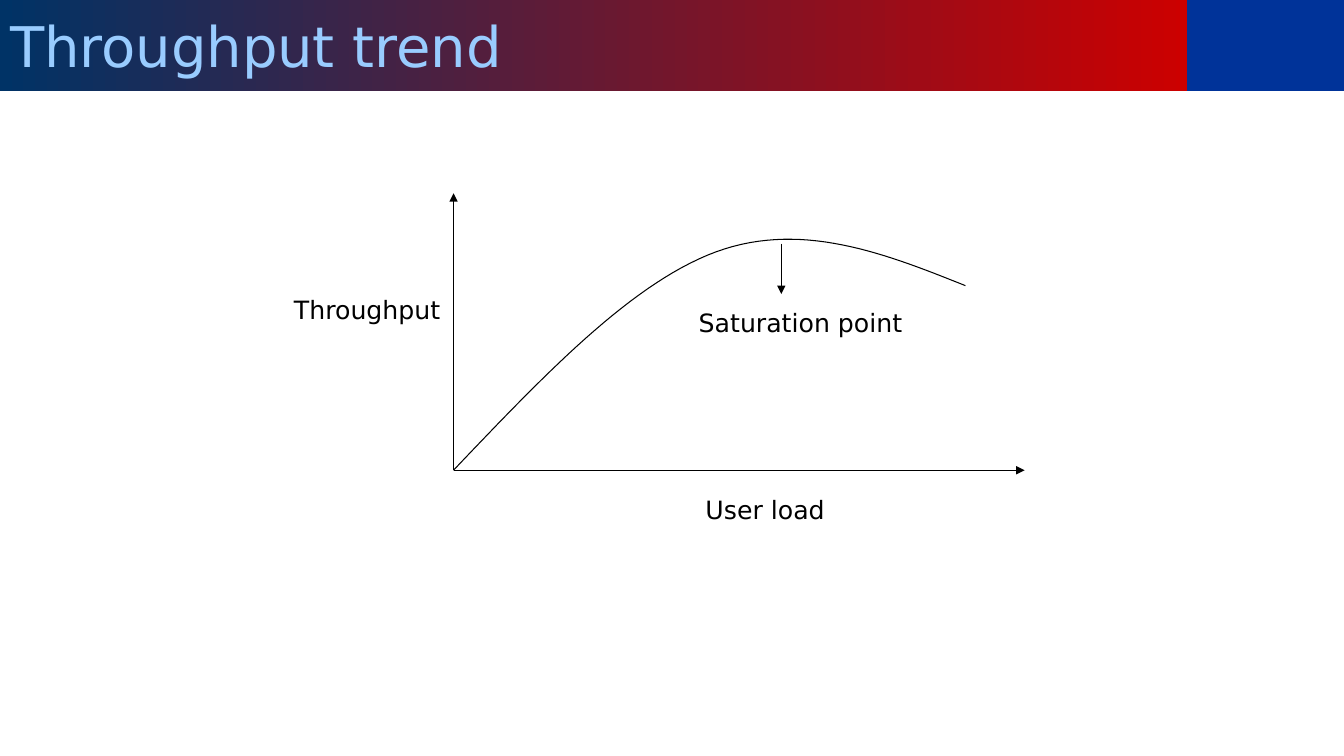
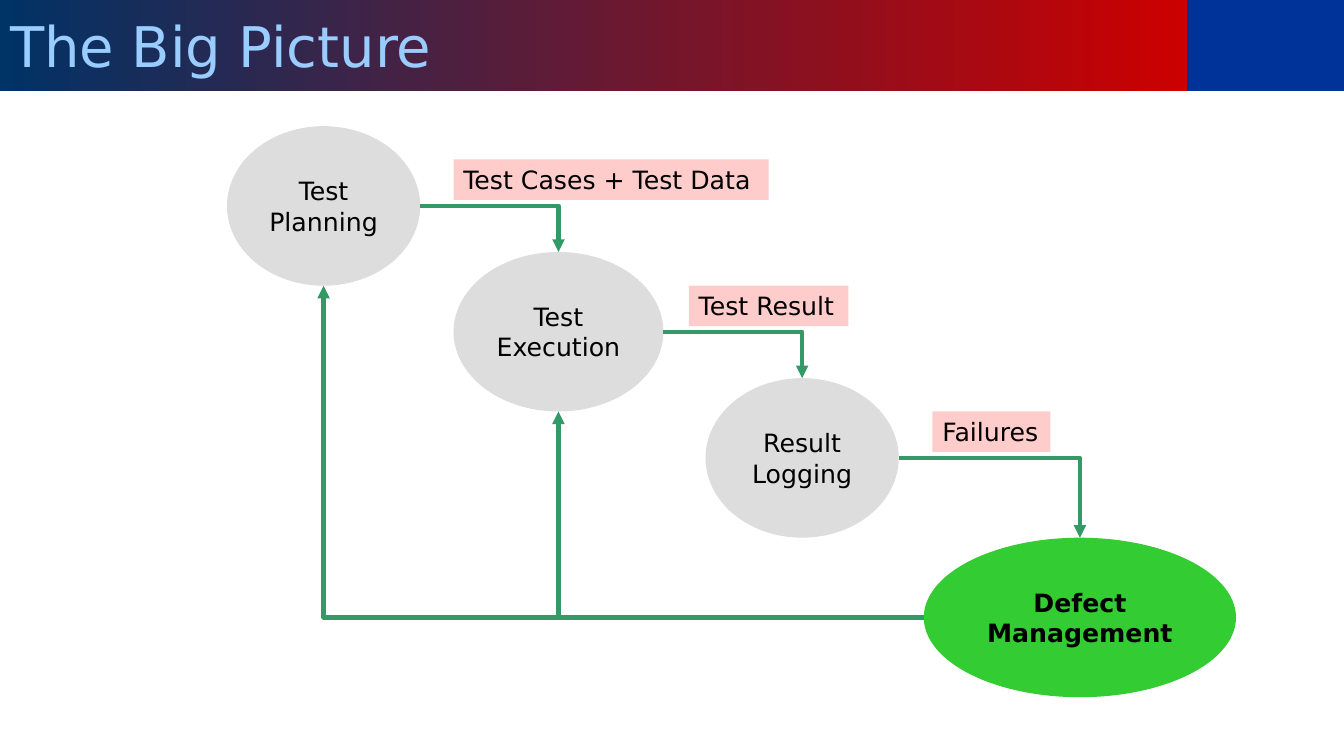
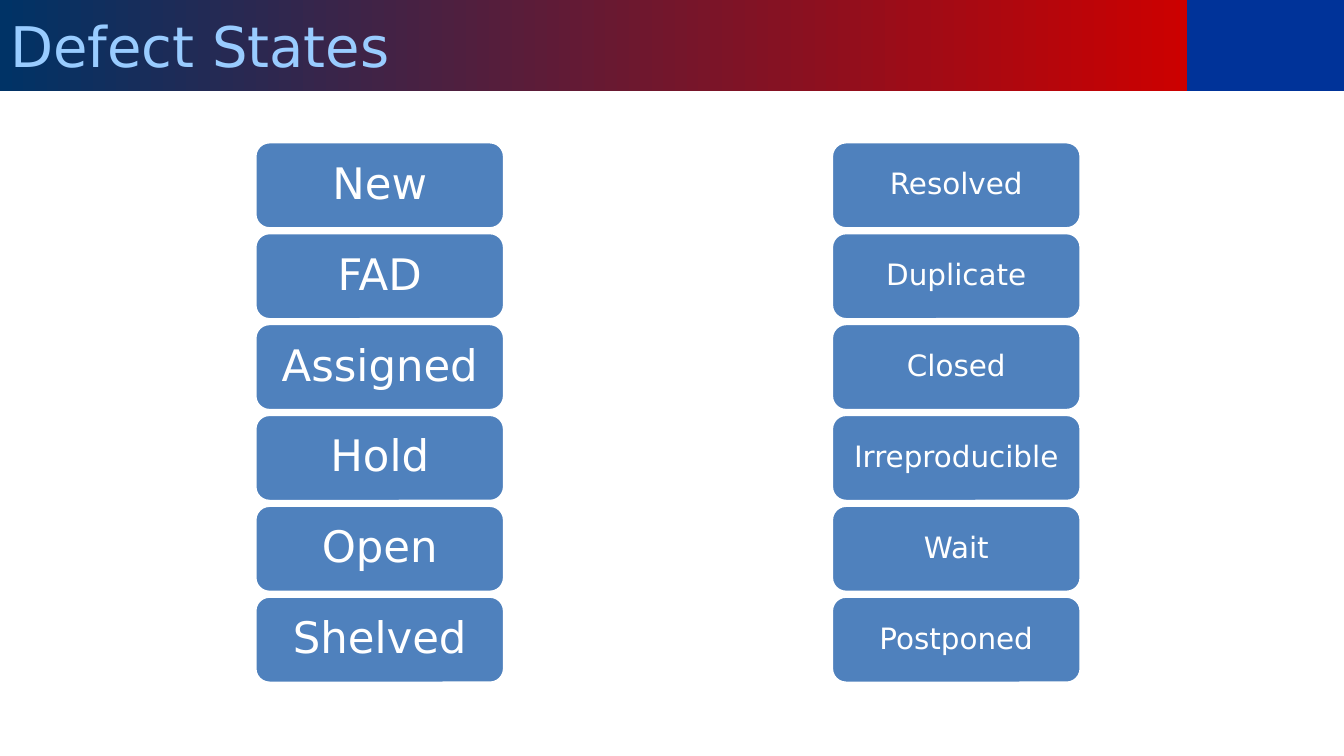
from dataclasses import dataclass

from lxml.etree import SubElement as Sub
from pptx import Presentation
from pptx.dml.color import RGBColor as Rgb
from pptx.enum.shapes import MSO_CONNECTOR as Conn, MSO_SHAPE as Kind
from pptx.enum.text import MSO_ANCHOR as Anchor, PP_ALIGN as Align
from pptx.oxml.ns import qn
from pptx.util import Cm, Pt


@dataclass(frozen=True)
class Theme:
    font: str = "DejaVu Sans"
    ink: str = "000000"
    white: str = "FFFFFF"
    sky: str = "99CCFF"
    navy: str = "003366"
    red: str = "CC0000"
    blue: str = "003399"
    gray: str = "DDDDDD"
    green: str = "33CC33"
    teal: str = "339966"
    pink: str = "FFCCCC"
    steel: str = "4F81BD"
    head: int = 40
    body: int = 18
    large: int = 31
    small: int = 21


theme = Theme()


def box(slide, kind, place, text, fill=None, size=theme.body, color=theme.ink,
        bold=False, align=Align.CENTER, **form):
    place = [Cm(n) for n in place]
    if kind is None:
        shape = slide.shapes.add_textbox(*place)
    else:
        shape = slide.shapes.add_shape(kind, *place)
        shape.shadow.inherit = False
        shape.line.fill.background()
    if fill:
        shape.fill.solid()
        shape.fill.fore_color.rgb = Rgb.from_string(fill)
    frame = shape.text_frame
    for key, value in {"word_wrap": True, **form}.items():
        setattr(frame, key, value)
    frame.text = text
    para = frame.paragraphs[0]
    para.alignment = align
    for key, value in {"name": theme.font, "size": Pt(size), "bold": bold}.items():
        setattr(para.font, key, value)
    para.font.color.rgb = Rgb.from_string(color)
    return shape


def arrow(slide, kind, start, end, color, width):
    line = slide.shapes.add_connector(kind, *start, *end)
    line.line.color.rgb = Rgb.from_string(color)
    line.line.width = Pt(width)
    Sub(line.line._get_or_add_ln(), qn("a:tailEnd"), type="triangle")
    Sub(line.element.spPr, qn("a:effectLst"))
    return line


deck = Presentation()
deck.slide_width, deck.slide_height = Cm(33.87), Cm(19.05)
layout = deck.slide_layouts[5]
band, edge = 2.29, 29.92

slides = []
for name in ("Throughput trend", "The Big Picture", "Defect States"):
    slide = deck.slides.add_slide(layout)
    title = slide.shapes.title
    title.left, title.top, title.width, title.height = Cm(0), Cm(0), Cm(edge), Cm(band)
    title.fill.gradient()
    title.fill.gradient_angle = 0
    for stop, color in zip(title.fill.gradient_stops, (theme.navy, theme.red)):
        stop.color.rgb = Rgb.from_string(color)
    frame = title.text_frame
    frame.text = name
    frame.vertical_anchor = Anchor.MIDDLE
    para = frame.paragraphs[0]
    para.alignment = Align.LEFT
    for key, value in {"name": theme.font, "size": Pt(theme.head)}.items():
        setattr(para.font, key, value)
    para.font.color.rgb = Rgb.from_string(theme.sky)
    slides.append(slide)
trend, flow, states = slides

block = box(trend, Kind.RECTANGLE, (edge, 0, 3.95, band), "", theme.blue)
block.element.nvSpPr.cNvPr.set("id", "20")
layout.shapes.element.append(block.element)

label = {"align": Align.LEFT, "margin_right": 0, "vertical_anchor": Anchor.TOP}

zero = Cm(11.43), Cm(11.85)
for start, end in (
    (zero, (zero[0], Cm(4.87))),
    (zero, (Cm(25.82), zero[1])),
    ((Cm(19.69), Cm(6.14)), (Cm(19.69), Cm(7.41))),
):
    arrow(trend, Conn.STRAIGHT, start, end, theme.ink, 0.75)

points = []
for curve in (
    ((11.43, 11.85), (13.67, 9.5), (15.9, 7.14), (18.04, 6.35)),
    ((18.04, 6.35), (20.18, 5.56), (22.29, 6.38), (24.33, 7.2)),
):
    for step in range(1, 31):
        t = step / 30
        parts = (1 - t) ** 3, 3 * t * (1 - t) ** 2, 3 * t * t * (1 - t), t ** 3
        points.append([Cm(sum(p * n for p, n in zip(parts, axis))) for axis in zip(*curve)])
pen = trend.shapes.build_freeform(*zero)
pen.add_line_segments(points, close=False)
curve = pen.convert_to_shape()
curve.shadow.inherit = False
curve.fill.background()
curve.line.color.rgb = Rgb.from_string(theme.ink)
curve.line.width = Pt(0.75)

for text, left, top, width in (
    ("Saturation point", 17.36, 7.62, 5.72),
    ("Throughput", 7.16, 7.29, 4.24),
    ("User load", 17.53, 12.32, 3.56),
):
    box(trend, None, (left, top, width, 1.02), text, **label)

nodes = {}
for text, left, top, width, fill, bold in (
    ("Test Execution", 11.43, 6.35, 5.29, theme.gray, False),
    ("Test Planning", 5.72, 3.18, 4.87, theme.gray, False),
    ("Result Logging", 17.78, 9.53, 4.87, theme.gray, False),
    ("Defect Management", 23.28, 13.55, 7.87, theme.green, True),
):
    nodes[text.split()[1]] = box(
        flow, Kind.OVAL, (left, top, width, 4.02), text, fill,
        bold=bold, vertical_anchor=Anchor.MIDDLE)

sites = {0: (0.5, 0), 2: (0, 0.5), 4: (0.5, 1), 6: (1, 0.5)}
for first, exit, last, entry in (
    ("Planning", 6, "Execution", 0),
    ("Execution", 6, "Logging", 0),
    ("Logging", 6, "Management", 0),
    ("Management", 2, "Execution", 4),
    ("Management", 2, "Planning", 4),
):
    ends = (nodes[first], exit), (nodes[last], entry)
    start, end = [
        (int(n.left + n.width * sites[s][0]), int(n.top + n.height * sites[s][1]))
        for n, s in ends]
    line = arrow(flow, Conn.ELBOW, start, end, theme.teal, 3)
    line.element.spPr.find(qn("a:prstGeom")).set("prst", "bentConnector2")
    glue = line.element.find(".//" + qn("p:cNvCxnSpPr"))
    for tag, (node, site) in zip(("a:stCxn", "a:endCxn"), ends):
        Sub(glue, qn(tag), id=str(node.shape_id), idx=str(site))

for text, left, top, width in (
    ("Test Cases + Test Data", 11.43, 4.02, 7.94),
    ("Test Result", 17.36, 7.2, 4.02),
    ("Failures", 23.5, 10.37, 2.97),
):
    box(flow, Kind.RECTANGLE, (left, top, width, 1.02), text, theme.pink, **label)

for left, size, names in (
    (6.43, theme.large, ("New", "FAD", "Assigned", "Hold", "Open", "Shelved")),
    (20.96, theme.small,
     ("Resolved", "Duplicate", "Closed", "Irreproducible", "Wait", "Postponed")),
):
    for row, name in enumerate(names):
        card = box(
            states, Kind.ROUNDED_RECTANGLE, (left, 3.58 + row * 2.29, 6.28, 2.18),
            name, theme.steel, size, theme.white, vertical_anchor=Anchor.MIDDLE)
        card.line.color.rgb = Rgb.from_string(theme.white)
        card.line.width = Pt(2)
        card.text_frame.paragraphs[0].line_spacing = 0.9

deck.save("out.pptx")
